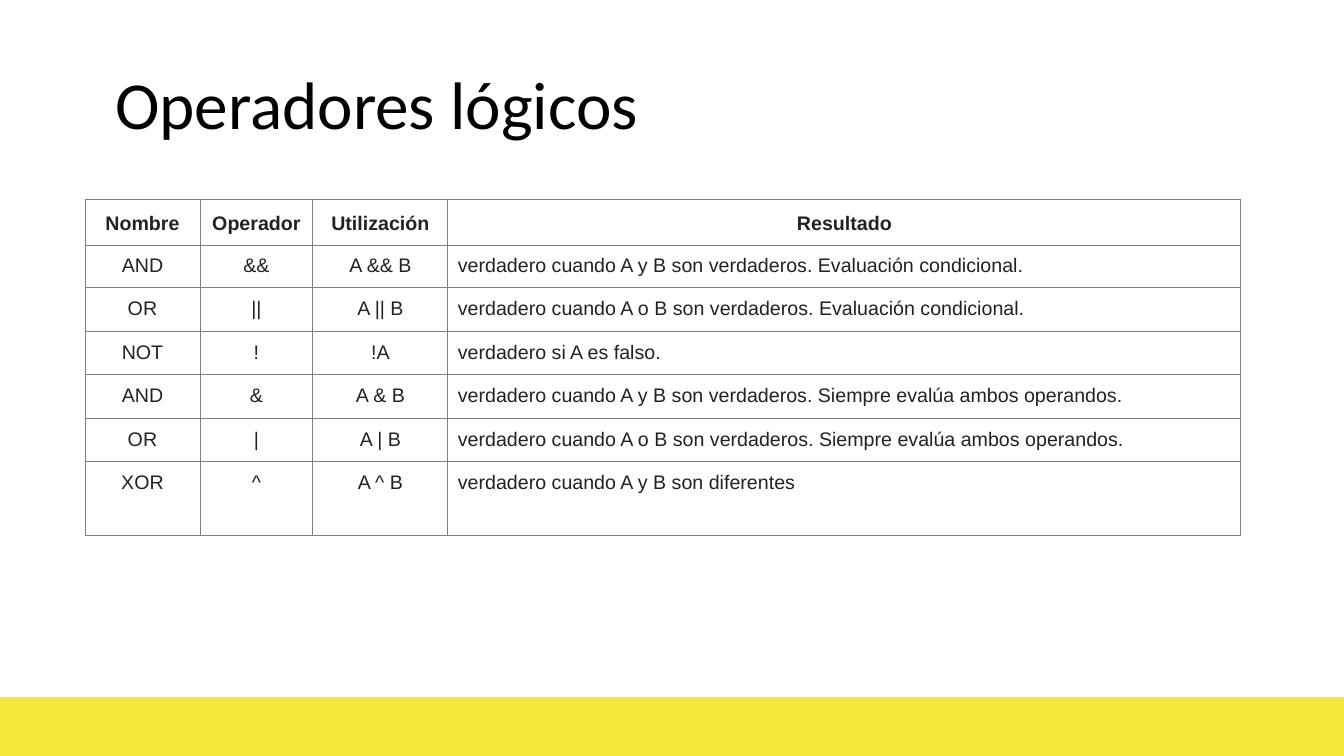
from lxml.etree import SubElement
from pptx import Presentation
from pptx.dml.color import RGBColor
from pptx.enum.shapes import MSO_SHAPE as Shape
from pptx.enum.text import MSO_ANCHOR as Anchor, MSO_AUTO_SIZE as AutoSize, PP_ALIGN as Align
from pptx.oxml.ns import qn
from pptx.util import Pt

EMU_PER_PX = 914400 / 100.8
COLORS = {
    "white": "FFFFFF",
    "band": "F4E73C",
    "title": "000000",
    "text": "222222",
    "border": "808080",
}
COLUMN_WIDTHS = [115, 113, 135, 793]
ROW_HEIGHTS = [46, 43, 44, 43, 44, 43, 74]
HEADER = ("Nombre", "Operador", "Utilización", "Resultado")
OPERATORS = [
    ("AND", "&&", "A && B", "verdadero cuando A y B son verdaderos. Evaluación condicional."),
    ("OR", "||", "A || B", "verdadero cuando A o B son verdaderos. Evaluación condicional."),
    ("NOT", "!", "!A", "verdadero si A es falso."),
    ("AND", "&", "A & B", "verdadero cuando A y B son verdaderos. Siempre evalúa ambos operandos."),
    ("OR", "|", "A | B", "verdadero cuando A o B son verdaderos. Siempre evalúa ambos operandos."),
    ("XOR", "^", "A ^ B", "verdadero cuando A y B son diferentes"),
]


def px(length):
    return round(length * EMU_PER_PX)


def color(name):
    return RGBColor.from_string(COLORS[name])


def write(frame, text, *, font, size, ink, bold=False, align=Align.LEFT, spacing=1.0):
    para = frame.paragraphs[0]
    para.alignment = align
    para.line_spacing = spacing
    span = para.add_run()
    span.text = text
    span.font.name = font
    span.font.size = Pt(size)
    span.font.bold = bold
    span.font.color.rgb = color(ink)
    return para


def add_band(page, left, top, width, height):
    band = page.shapes.add_shape(Shape.RECTANGLE, px(left), px(top), px(width), px(height))
    band.shadow.inherit = False
    band.fill.solid()
    band.fill.fore_color.rgb = color("band")
    band.line.fill.background()


def set_title(page, text, left, top, width, height, indent):
    box = page.shapes.title
    box.left, box.top, box.width, box.height = map(px, (left, top, width, height))
    frame = box.text_frame
    frame.word_wrap = True
    frame.auto_size = AutoSize.NONE
    frame.vertical_anchor = Anchor.MIDDLE
    frame.margin_left = frame.margin_right = px(10)
    frame.margin_top = frame.margin_bottom = px(5)
    para = write(frame, text, font="Calibri", size=48, ink="title", align=Align.JUSTIFY)
    properties = para._p.get_or_add_pPr()
    properties.set("marL", str(px(indent)))
    properties.set("indent", "0")


def set_borders(cell):
    properties = cell._tc.get_or_add_tcPr()
    for position, side in enumerate(("lnL", "lnR", "lnT", "lnB")):
        line = SubElement(properties, qn(f"a:{side}"), w=str(Pt(0.75)))
        fill = SubElement(line, qn("a:solidFill"))
        SubElement(fill, qn("a:srgbClr"), val=COLORS["border"])
        properties.insert(position, line)


def fill_cell(cell, text, **text_format):
    cell.fill.solid()
    cell.fill.fore_color.rgb = color("white")
    cell.margin_left = cell.margin_right = cell.margin_top = cell.margin_bottom = px(10)
    cell.vertical_anchor = Anchor.TOP
    write(cell.text_frame, text, font="Arial", size=14, ink="text", **text_format)
    set_borders(cell)


def add_operator_table(page, left, top):
    rows = [HEADER, *OPERATORS]
    table = page.shapes.add_table(
        len(rows), len(HEADER), px(left), px(top), px(sum(COLUMN_WIDTHS)), px(sum(ROW_HEIGHTS))
    ).table
    table.horz_banding = False
    for column, width in zip(table.columns, COLUMN_WIDTHS):
        column.width = px(width)
    for row, height in zip(table.rows, ROW_HEIGHTS):
        row.height = px(height)
    for row_index, texts in enumerate(rows):
        is_header = row_index == 0
        for column_index, text in enumerate(texts):
            is_result = column_index == len(HEADER) - 1
            fill_cell(
                table.cell(row_index, column_index),
                text,
                bold=is_header,
                align=Align.LEFT if is_result and not is_header else Align.CENTER,
                spacing=1.15 if is_header else 1.0,
            )


def main():
    deck = Presentation()
    deck.slide_width, deck.slide_height = px(1344), px(756)
    page = deck.slides.add_slide(deck.slide_layouts[5])
    page.background.fill.solid()
    page.background.fill.fore_color.rgb = color("white")
    add_band(page, 0, 697, 1344, 59)
    set_title(page, "Operadores lógicos", 55, 49, 1162, 107, indent=50)
    add_operator_table(page, 85, 199)
    deck.save("out.pptx")


if __name__ == "__main__":
    main()
